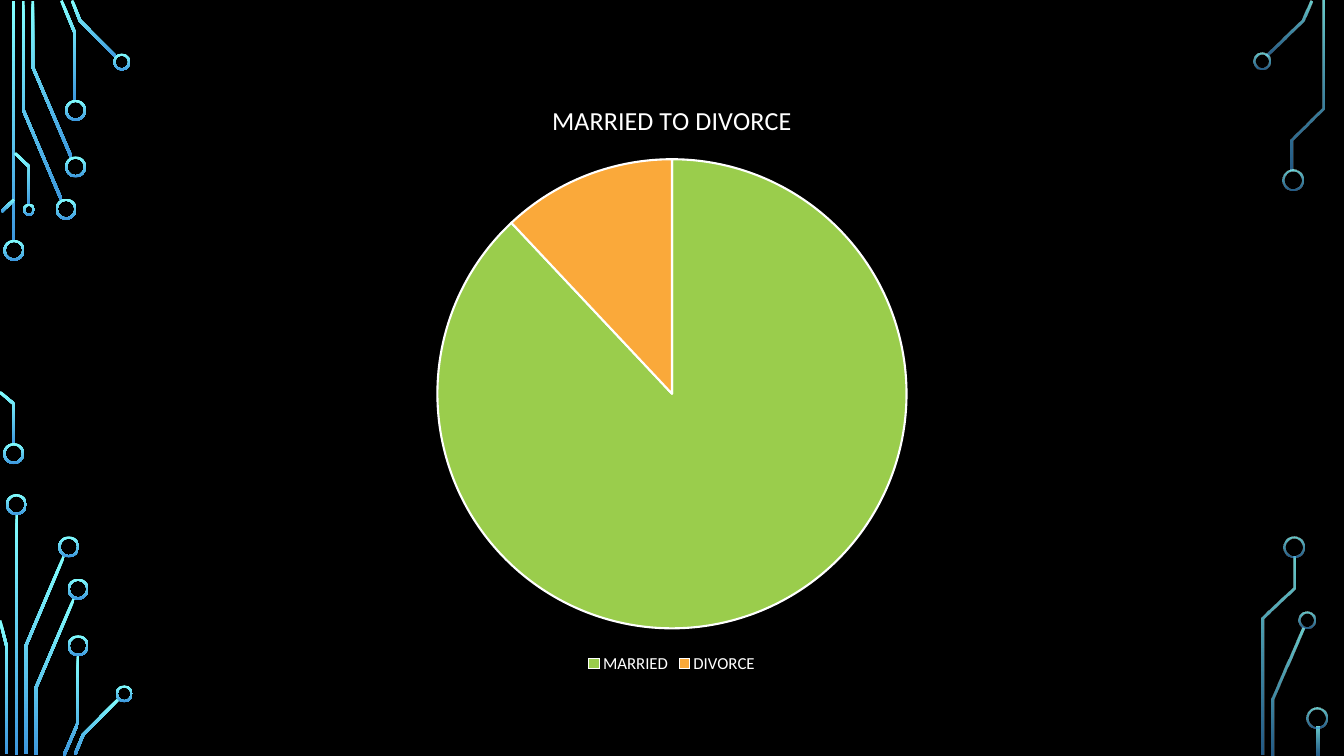
from math import hypot
from lxml import etree
from pptx import Presentation
from pptx.chart.data import CategoryChartData
from pptx.dml.color import RGBColor
from pptx.enum.chart import XL_CHART_TYPE, XL_LEGEND_POSITION
from pptx.enum.shapes import MSO_SHAPE
from pptx.oxml.ns import qn
from pptx.util import Pt

PIE = XL_CHART_TYPE.PIE
BOTTOM = XL_LEGEND_POSITION.BOTTOM
DONUT = MSO_SHAPE.DONUT

BLACK = RGBColor(0x00, 0x00, 0x00)
WHITE = RGBColor(0xFF, 0xFF, 0xFF)
CYAN = RGBColor(0x82, 0xFF, 0xFF)
BLUE = RGBColor(0x3D, 0x97, 0xDE)
GREEN = RGBColor(0x9A, 0xCD, 0x4C)
ORANGE = RGBColor(0xFA, 0xA9, 0x3A)

FONT = "Calibri"
TITLE = "MARRIED TO DIVORCE"
SLICES = [("MARRIED", 88, GREEN), ("DIVORCE", 12, ORANGE)]
FRAME = (160, 57, 640, 427)

WIDE, RIM = 2, 1.5
BIG, MID, TINY = 15, 12.2, 8.6

LEFT_WIRES = [
    [(9.7, 0.7), (9.7, 172.8)],
    [(43.9, 142.9), (16.6, 78.5), (16.6, 0.7)],
    [(51.1, 112.7), (23.4, 47.9), (23.4, 0.7)],
    [(53.6, 72), (53.6, 23.8), (43.9, 0.4)],
    [(83.2, 41), (57.2, 14.8), (51.5, 0.4)],
    [(1.1, 151.2), (10.1, 142.6)],
    [(10.1, 317.5), (10.1, 288.7), (0, 280.1)],
    [(20.9, 146.2), (20.9, 119.2), (10.8, 109.4)],
    [(11.9, 367.2), (11.9, 539.3)],
    [(18.4, 538.6), (18.4, 461.5), (45.7, 397.1)],
    [(4.7, 538.6), (4.7, 461.5), (0, 443.2)],
    [(25.6, 539.3), (25.6, 491.4), (52.9, 427.3)],
    [(45.7, 539.6), (55.8, 516.2), (55.8, 468)],
    [(53.6, 538.9), (59.4, 524.9), (85, 499)],
]
LEFT_RINGS = [
    (10, 178.8, BIG), (9.8, 324, BIG), (47.2, 149.4, BIG),
    (54, 119.2, BIG), (54, 78.8, BIG), (87, 44.3, MID),
    (20.7, 149.8, TINY), (11.7, 360.4, BIG), (49.1, 390.6, BIG),
    (55.8, 420.8, BIG), (55.8, 461.2, BIG), (88.8, 495.6, MID),
]
RIGHT_WIRES = [
    [(905, 40), (930.6, 14.4), (936.4, 0.4)],
    [(909, 539.3), (909, 499.3), (931, 448.9)],
    [(923, 121.7), (923, 99.7), (945, 77.4), (945, 0.7)],
    [(901.8, 539.3), (901.8, 441.7), (924.1, 420.1), (924.1, 397.4)],
    [(941.4, 519.1), (941.4, 539.3)],
]
RIGHT_RINGS = [
    (901.4, 43.6, MID), (923.4, 128.7, BIG), (933.5, 443.2, MID),
    (924, 390.6, BIG), (940.7, 512.8, BIG),
]
SIDES = [
    (LEFT_WIRES, LEFT_RINGS, (100, 100)),
    (RIGHT_WIRES, RIGHT_RINGS, (80, 60)),
]


def paint(shape, alphas):
    shape.shadow.inherit = False
    shape.line.fill.background()
    shape.fill.gradient()
    shape.fill.gradient_angle = 270
    for stop, color in zip(shape.fill.gradient_stops, (CYAN, BLUE)):
        stop.color.rgb = color
    for node, alpha in zip(shape.element.spPr.iter(qn("a:srgbClr")), alphas):
        if alpha < 100:
            etree.SubElement(node, qn("a:alpha")).set("val", str(alpha * 1000))


def outline(wire):
    norms = []
    for (ax, ay), (bx, by) in zip(wire, wire[1:]):
        size = hypot(bx - ax, by - ay)
        norms.append(((ay - by) / size, (bx - ax) / size))
    near, far = [], []
    pairs = zip(wire, norms[:1] + norms, norms + norms[-1:])
    for (x, y), (ux, uy), (vx, vy) in pairs:
        reach = WIDE / 2 / (1 + ux * vx + uy * vy)
        dx, dy = (ux + vx) * reach, (uy + vy) * reach
        near.append((Pt(x + dx), Pt(y + dy)))
        far.append((Pt(x - dx), Pt(y - dy)))
    return near + far[::-1]


def add_wire(shapes, wire, alphas):
    dots = outline(wire)
    pen = shapes.build_freeform(*dots[0])
    pen.add_line_segments(dots[1:], close=True)
    paint(pen.convert_to_shape(), alphas)


def add_ring(shapes, ring, alphas):
    x, y, size = ring
    shape = shapes.add_shape(
        DONUT, Pt(x - size / 2), Pt(y - size / 2), Pt(size), Pt(size))
    shape.adjustments[0] = RIM / size
    paint(shape, alphas)


def style(font, size):
    font.name = FONT
    font.size = Pt(size)
    font.bold = False
    font.color.rgb = WHITE


def add_pie(shapes):
    data = CategoryChartData()
    data.categories = [name for name, _, _ in SLICES]
    data.add_series(TITLE, [value for _, value, _ in SLICES])
    chart = shapes.add_chart(PIE, *map(Pt, FRAME), data).chart
    style(chart.font, 10)
    chart.has_title = True
    chart.chart_title.include_in_layout = False
    head = chart.chart_title.text_frame
    head.text = TITLE
    style(head.paragraphs[0].font, 18.6)
    chart.has_legend = True
    chart.legend.position = BOTTOM
    chart.legend.include_in_layout = False
    style(chart.legend.font, 12)
    plot = chart.plots[0]
    plot.vary_by_categories = True
    for spot, (_, _, color) in enumerate(SLICES):
        form = plot.series[0].points[spot].format
        form.fill.solid()
        form.fill.fore_color.rgb = color
        form.line.color.rgb = WHITE
        form.line.width = Pt(1.5)


def main():
    deck = Presentation()
    deck.slide_width, deck.slide_height = Pt(960), Pt(540)
    slide = deck.slides.add_slide(deck.slide_layouts[6])
    slide.background.fill.solid()
    slide.background.fill.fore_color.rgb = BLACK
    for wires, rings, alphas in SIDES:
        for wire in wires:
            add_wire(slide.shapes, wire, alphas)
        for ring in rings:
            add_ring(slide.shapes, ring, alphas)
    add_pie(slide.shapes)
    deck.save("out.pptx")


if __name__ == "__main__":
    main()
